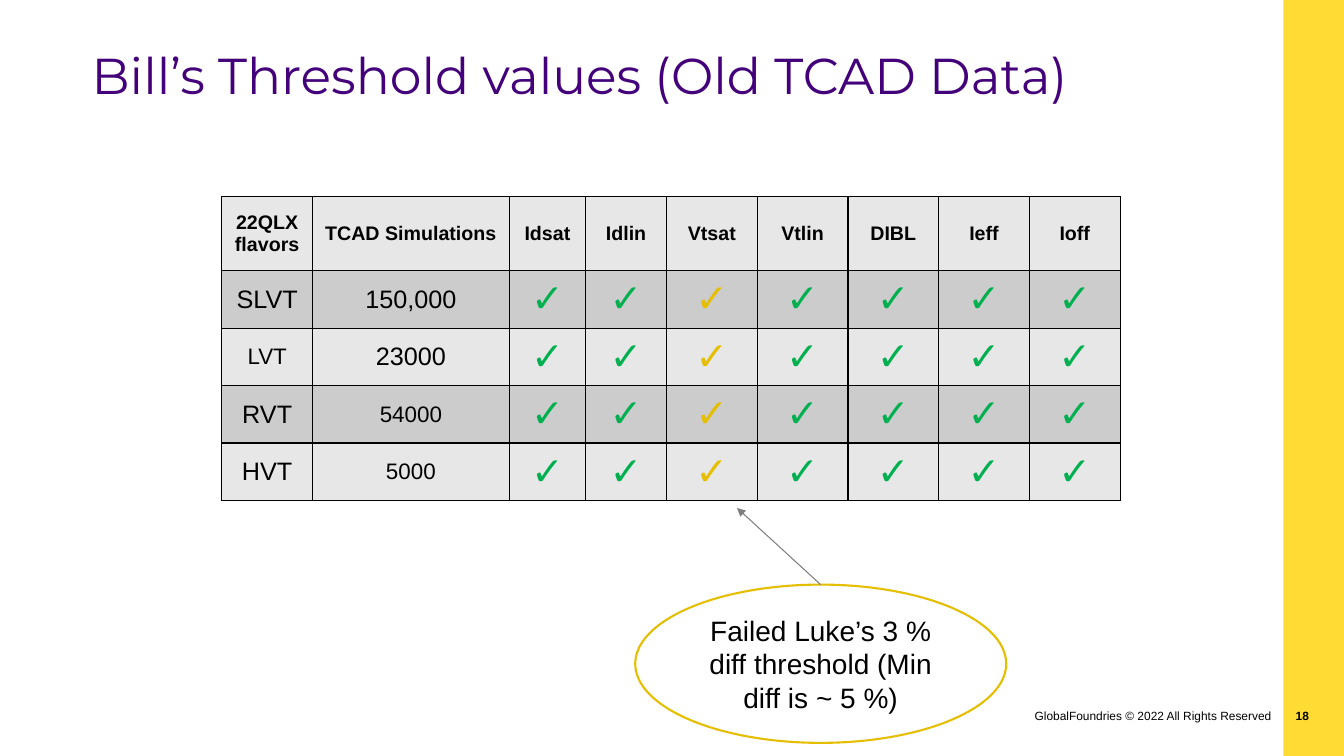
from lxml import etree
from pptx import Presentation
from pptx import util as u
from pptx.dml.color import RGBColor
from pptx.enum import shapes, text
from pptx.oxml import ns

PX = 9144  # 100 px to the inch
BLACK, PURPLE, YELLOW, GOLD, GREEN = "000000", "43007A", "FFDC34", "E6BE00", "00B050"
GRAY, LIGHT, DARK = "7F7F7F", "E7E7E7", "CCCCCC"

TITLE = "Bill’s Threshold values (Old TCAD Data)"
COPYRIGHT = "GlobalFoundries © 2022 All Rights Reserved"
PAGE_NUMBER = "18"
CALLOUT = "Failed Luke’s 3 % diff threshold (Min diff is ~ 5 %)"
HEADERS = ["22QLX flavors", "TCAD Simulations", "Idsat", "Idlin", "Vtsat",
           "Vtlin", "DIBL", "Ieff", "Ioff"]
FAILED = "Vtsat"
# flavor, its size, simulations, their size
FLAVORS = [("SLVT", 18, "150,000", 18), ("LVT", 16, "23000", 18),
           ("RVT", 18, "54000", 16), ("HVT", 18, "5000", 16)]
COLUMNS = [90, 195, 76, 80] + [90] * 5
ROWS = [73, 58, 52, 52, 52]


def px(*lengths):
    return [u.Emu(length * PX) for length in lengths]


def color(value):
    return RGBColor.from_string(value)


def write(frame, words, size, ink=BLACK, face="Arial", bold=False,
          align=text.PP_ALIGN.CENTER):
    para = frame.paragraphs[0]
    para.alignment = align
    span = para.add_run()
    span.text = words
    span.font.size, span.font.name, span.font.bold = u.Pt(size), face, bold
    span.font.color.rgb = color(ink)


def add_label(page, place, words, size, margins=(10, 5, 10, 5), **style):
    frame = page.shapes.add_textbox(*px(*place)).text_frame
    frame.word_wrap = True
    (frame.margin_left, frame.margin_top,
     frame.margin_right, frame.margin_bottom) = px(*margins)
    write(frame, words, size, **style)


def add_borders(cell):
    properties = cell._tc.get_or_add_tcPr()
    for side in ("lnL", "lnR", "lnT", "lnB"):
        line = etree.SubElement(properties, ns.qn("a:" + side), w=str(u.Pt(1)))
        fill = etree.SubElement(line, ns.qn("a:solidFill"))
        etree.SubElement(fill, ns.qn("a:srgbClr"), val=BLACK)


def add_results(page):
    """Table of flavors against the parameters they were checked on."""
    header = [(name, 14, BLACK, True) for name in HEADERS]
    checks = [("✓", 28, GOLD if name == FAILED else GREEN, False)
              for name in HEADERS[2:]]
    grid = [header] + [
        [(flavor, flavor_size, BLACK, False), (count, count_size, BLACK, False)] + checks
        for flavor, flavor_size, count, count_size in FLAVORS]
    table = page.shapes.add_table(
        len(ROWS), len(COLUMNS), *px(220, 195, sum(COLUMNS), sum(ROWS))).table
    for column, width in zip(table.columns, COLUMNS):
        column.width = u.Emu(width * PX)
    for row, height in zip(table.rows, ROWS):
        row.height = u.Emu(height * PX)
    for r, entries in enumerate(grid):
        for c, (words, size, ink, bold) in enumerate(entries):
            cell = table.cell(r, c)
            add_borders(cell)
            cell.fill.solid()
            cell.fill.fore_color.rgb = color(DARK if r % 2 else LIGHT)
            cell.vertical_anchor = text.MSO_ANCHOR.MIDDLE
            write(cell.text_frame, words, size, ink, bold=bold)


def add_callout(page):
    oval = page.shapes.add_shape(shapes.MSO_SHAPE.OVAL, *px(630, 580, 368, 157))
    oval.shadow.inherit = False
    oval.fill.background()
    oval.line.color.rgb = color(GOLD)
    oval.line.width = u.Pt(1.5)
    oval.text_frame.word_wrap = True
    oval.text_frame.vertical_anchor = text.MSO_ANCHOR.MIDDLE
    write(oval.text_frame, CALLOUT, 20)

    arrow = page.shapes.add_connector(
        shapes.MSO_CONNECTOR.STRAIGHT, *px(814, 580, 731, 504))
    arrow.line.color.rgb = color(GRAY)
    arrow.line.width = u.Pt(0.75)
    etree.SubElement(arrow.line._get_or_add_ln(), ns.qn("a:tailEnd"), type="triangle")
    etree.SubElement(arrow._element.spPr, ns.qn("a:effectLst"))


def main():
    deck = Presentation()
    deck.slide_width, deck.slide_height = px(1333, 750)
    page = deck.slides.add_slide(deck.slide_layouts[6])

    band = page.shapes.add_shape(shapes.MSO_SHAPE.RECTANGLE, *px(1273, 0, 60, 750))
    band.shadow.inherit = False
    band.fill.solid()
    band.fill.fore_color.rgb = color(YELLOW)
    band.line.fill.background()

    add_label(page, (91, 44, 1165, 62), TITLE, 36, margins=(0, 0, 0, 0),
              ink=PURPLE, face="Montserrat", align=text.PP_ALIGN.LEFT)
    add_label(page, (1006, 698, 265, 40), COPYRIGHT, 8.5, align=text.PP_ALIGN.RIGHT)
    add_label(page, (1266, 698, 42, 40), PAGE_NUMBER, 8.5, margins=(0, 5, 10, 5),
              bold=True, align=text.PP_ALIGN.RIGHT)
    add_results(page)
    add_callout(page)
    deck.save("out.pptx")


if __name__ == "__main__":
    main()
